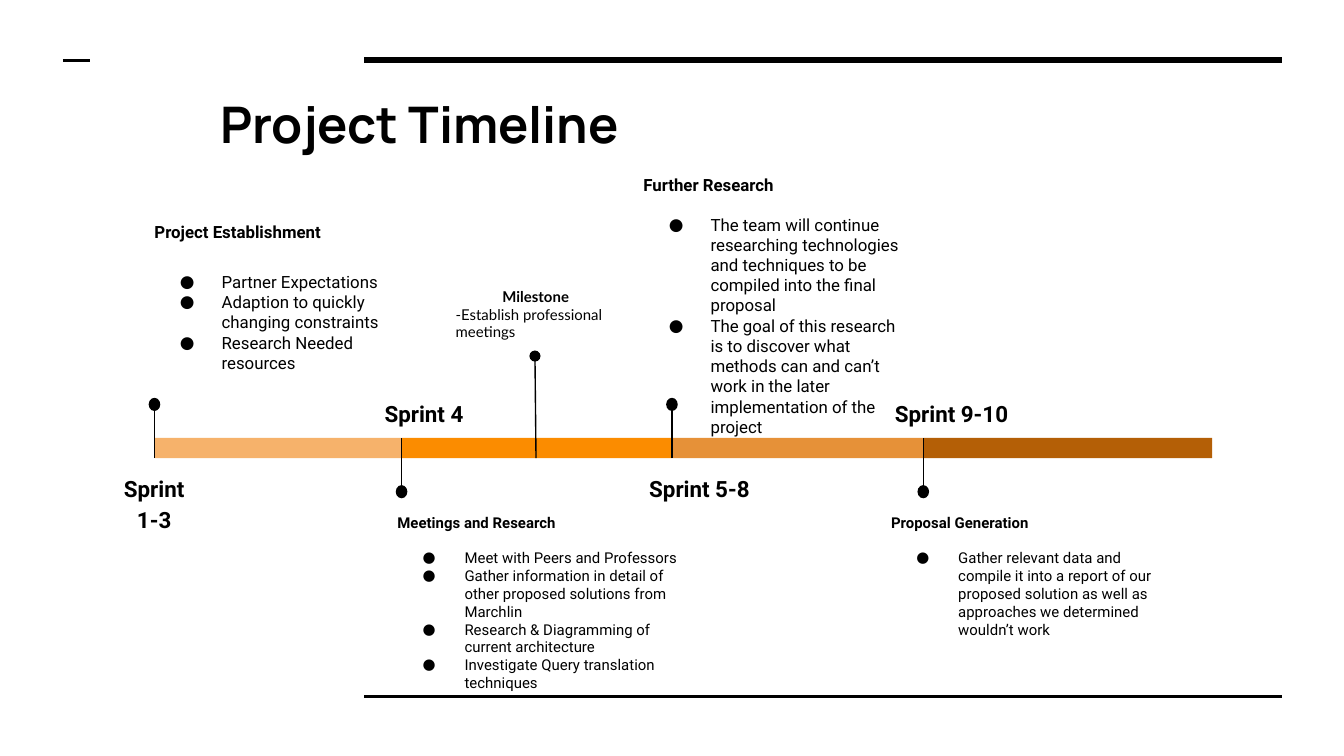
from lxml.etree import SubElement
from pptx import Presentation
from pptx.dml.color import RGBColor
from pptx.enum.shapes import MSO_CONNECTOR, MSO_SHAPE
from pptx.enum.text import MSO_ANCHOR, MSO_AUTO_SIZE, PP_ALIGN
from pptx.oxml.ns import qn
from pptx.util import Cm, Pt

BLACK = "000000"
AXIS, DEPTH = 8.28, 0.38
END = 22.91

# Each sprint: bar start, colour, whether its pin points up,
# label and label box, note heading, note box, size, gap and bullets
SPRINTS = [
    (2.92, "F6B26B", True, "Sprint 1-3", (1.85, 8.66, 2.13, 1.04),
     "Project Establishment", (2.67, 3.94, 5.51, 3.58), 9, 16,
     ["Partner Expectations",
      "Adaption to quickly changing constraints",
      "Research Needed resources"]),
    (7.59, "FB8C00", False, "Sprint 4", (6.63, 7.24, 2.77, 1.04),
     "Meetings and Research", (7.26, 9.45, 5.89, 3.33), 8, 9.4,
     ["Meet with Peers and Professors",
      "Gather information in detail of other proposed solutions from Marchlin",
      "Research & Diagramming of current architecture",
      "Investigate Query translation techniques"]),
    (12.7, "E69138", True, "Sprint 5-8", (11.91, 8.66, 2.62, 1.04),
     "Further Research", (11.91, 3.05, 5.49, 4.47), 9, 10.5,
     ["The team will continue researching technologies and techniques "
      "to be compiled into the final proposal",
      "The goal of this research is to discover what methods can and can’t "
      "work in the later implementation of the project"]),
    (17.45, "B45F06", False, "Sprint 9-10", (16.59, 7.24, 2.79, 1.04),
     "Proposal Generation", (16.59, 9.45, 5.79, 3.33), 8, 9.4,
     ["Gather relevant data and compile it into a report of our proposed "
      "solution as well as approaches we determined wouldn’t work"]),
]


def color(code):
    return RGBColor.from_string(code)


def place(shape, box):
    shape.left, shape.top, shape.width, shape.height = map(Cm, box)


def frame(shape):
    """Clear the way for plain wrapped text at the top of a shape."""
    body = shape.text_frame
    body.word_wrap = True
    body.auto_size = MSO_AUTO_SIZE.NONE
    body.vertical_anchor = MSO_ANCHOR.TOP
    body.margin_left = body.margin_right = Cm(0.25)
    body.margin_top = body.margin_bottom = Cm(0.25)
    return body


def box_at(slide, box):
    return frame(slide.shapes.add_textbox(*map(Cm, box)))


def bullet(para):
    props = para._p.get_or_add_pPr()
    props.set("marL", str(Cm(1.27)))
    props.set("indent", str(Cm(-0.79)))
    tint = SubElement(props, qn("a:buClr"))
    SubElement(tint, qn("a:srgbClr"), val=BLACK)
    SubElement(props, qn("a:buFont"), typeface="Roboto")
    SubElement(props, qn("a:buChar"), char="●")


def write(body, text, size=9, face="Roboto", bold=False, dot=False,
          align=PP_ALIGN.LEFT, before=0, lead=1.0):
    """Add a paragraph, using the first one while it is still empty."""
    first = body.paragraphs[0]
    para = body.add_paragraph() if first.runs else first
    para.alignment = align
    para.line_spacing = lead
    para.space_before = Pt(before)
    if dot:
        bullet(para)
    run = para.add_run()
    run.text = text
    font = run.font
    font.size, font.name, font.bold = Pt(size), face, bold
    font.color.rgb = color(BLACK)


def block(slide, kind, box, fill):
    shape = slide.shapes.add_shape(kind, *map(Cm, box))
    shape.shadow.inherit = False
    shape.fill.solid()
    shape.fill.fore_color.rgb = color(fill)
    shape.line.fill.background()


def rule(slide, x1, y1, x2, y2, width=0.75, tail=None):
    line = slide.shapes.add_connector(
        MSO_CONNECTOR.STRAIGHT, Cm(x1), Cm(y1), Cm(x2), Cm(y2))
    line.line.color.rgb = color(BLACK)
    line.line.width = Pt(width)
    if tail:
        SubElement(line.line._get_or_add_ln(), qn("a:tailEnd"), type=tail)
    SubElement(line._element.spPr, qn("a:effectLst"))


def pin(slide, x, up):
    """Draw a line across the bar that ends in a dot above or below it."""
    if up:
        tip, foot, top = 7.67, AXIS + DEPTH, 7.52
    else:
        tip, foot, top = 9.3, AXIS, 9.17
    rule(slide, x, tip, x, foot)
    block(slide, MSO_SHAPE.OVAL, (x - 0.11, top, 0.22, 0.25), BLACK)


def sprint(slide, data, stop):
    x, fill, up, label, spot, head, area, size, gap, items = data
    block(slide, MSO_SHAPE.RECTANGLE, (x, AXIS, stop - x, DEPTH), fill)
    pin(slide, x, up)
    write(box_at(slide, spot), label, size=12, bold=True,
          align=PP_ALIGN.CENTER, lead=1.15)
    note = box_at(slide, area)
    write(note, head, size=size, bold=True)
    for i, item in enumerate(items):
        write(note, item, size=size, dot=True, before=0 if i else gap)


def milestone(slide):
    rule(slide, 10.13, AXIS + DEPTH, 10.11, 6.73, tail="oval")
    note = box_at(slide, (8.36, 5.18, 3.53, 1.55))
    write(note, "Milestone", size=8, face="Lato", bold=True,
          align=PP_ALIGN.CENTER)
    write(note, "-Establish professional meetings", size=8, face="Lato")


def main():
    deck = Presentation()
    deck.slide_width, deck.slide_height = Cm(25.4), Cm(14.29)
    slide = deck.slides.add_slide(deck.slide_layouts[5])

    rule(slide, 6.88, 1.14, 24.23, 1.14, width=3)
    rule(slide, 6.88, 13.16, 24.23, 13.16, width=1.5)
    rule(slide, 1.19, 1.14, 1.7, 1.14, width=1.5)

    title = slide.shapes.title
    place(title, (3.91, 1.5, 17.55, 1.75))
    write(frame(title), "Project Timeline", size=27, face="Manrope", bold=True)

    stops = [data[0] for data in SPRINTS[1:]] + [END]
    for data, stop in zip(SPRINTS, stops):
        sprint(slide, data, stop)
    milestone(slide)
    deck.save("out.pptx")


if __name__ == "__main__":
    main()
